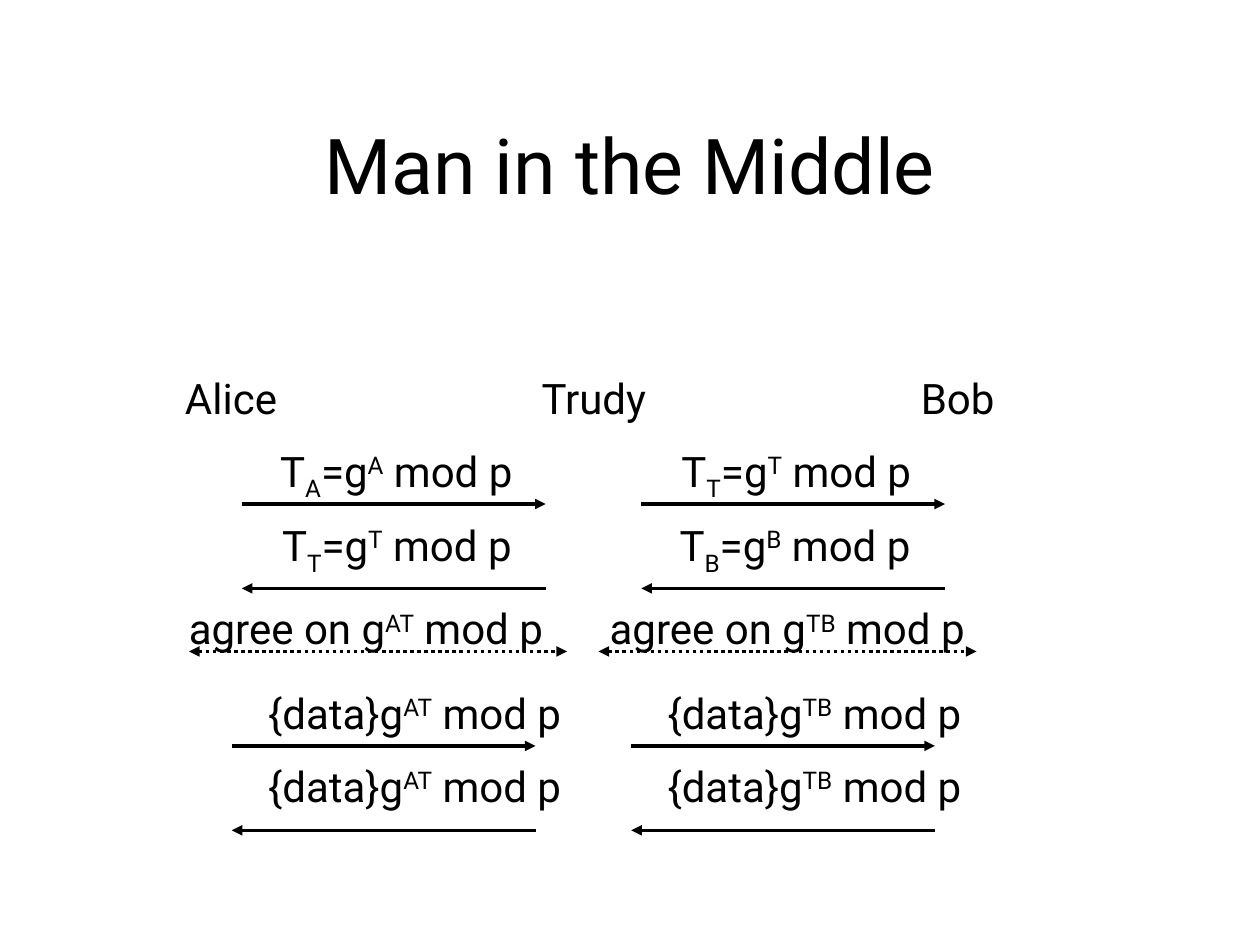
from dataclasses import dataclass

from lxml import etree
from pptx import Presentation
from pptx.dml.color import RGBColor
from pptx.enum import dml, shapes, text
from pptx.oxml.ns import qn
from pptx.util import Inches, Pt


@dataclass(frozen=True)
class Theme:
    """Colours, font and sizes of the slide."""
    ink: RGBColor = RGBColor(0, 0, 0)
    paper: RGBColor = RGBColor(255, 255, 255)
    font: str = "Roboto"
    title: int = 44
    body: int = 24
    line: int = 2
    sub: int = -25000
    sup: int = 30000


T = Theme()


def set_attrs(obj, **values):
    """Set each named attribute on an object."""
    for name, value in values.items():
        setattr(obj, name, value)


def add_text(s, box, runs, size=T.body, **frame):
    """Add a text box of (text, baseline) runs and return its paragraph."""
    tf = s.shapes.add_textbox(*map(Inches, box)).text_frame
    set_attrs(tf, **{"word_wrap": False,
                     "auto_size": text.MSO_AUTO_SIZE.SHAPE_TO_FIT_TEXT, **frame})
    p = tf.paragraphs[0]
    p.line_spacing = 1.01
    for words, baseline in runs:
        r = p.add_run()
        r.text = words
        set_attrs(r.font, name=T.font, size=Pt(size))
        r.font.color.rgb = T.ink
        if baseline:
            r._r.get_or_add_rPr().set("baseline", str(baseline))
    return p


def add_arrow(s, left, top, width, ends, dash=None):
    """Add a level line with triangles at the given ends."""
    sp = s.shapes.add_connector(shapes.MSO_CONNECTOR.STRAIGHT,
                                *map(Inches, (left, top, left + width, top)))
    set_attrs(sp.line, width=Pt(T.line), dash_style=dash)
    sp.line.color.rgb = T.ink
    ln = sp.line._get_or_add_ln()
    for end in ends:
        etree.SubElement(ln, qn(f"a:{end}End"), type="triangle")
    etree.SubElement(sp._element.spPr, qn("a:effectLst"))


def add_title(s, box, words):
    """Place the centred slide title in its box."""
    p = add_text(s, box, [(words, 0)], T.title, word_wrap=True,
                 auto_size=text.MSO_AUTO_SIZE.NONE,
                 vertical_anchor=text.MSO_ANCHOR.MIDDLE)
    p.alignment = text.PP_ALIGN.CENTER


def add_parties(s, top, parties):
    """Name the parties along one row."""
    for name, left, width in parties:
        add_text(s, (left, top, width, 0.51), [(name, 0)])


def add_session(s, left, top, parties, agree_text, agree_line):
    """Draw one key exchange, its agreement and the data sent each way."""
    width = 2.41
    secret = ("".join(parties), T.sup)
    mod = (" mod p", 0)
    for i, (party, end) in enumerate(zip(parties, ("tail", "head"))):
        text_width = 2.1 if party == "T" else 2.13
        add_text(s, (left + 1.35 - text_width / 2, top + 0.59 * i, text_width, 0.56),
                 [("T", 0), (party, T.sub), ("=g", 0), (party, T.sup), mod])
        add_arrow(s, left + 0.08, top + 0.52 + 0.67 * i, width, [end])
        add_text(s, (left + 0.19, top + 1.92 + 0.58 * i, 2.69, 0.51),
                 [("{data}g", 0), secret, mod])
        add_arrow(s, left, top + 2.44 + 0.67 * i, width, [end])
    add_text(s, (agree_text, top + 1.25, 3.22, 0.51),
             [("agree on g", 0), secret, mod])
    add_arrow(s, agree_line, top + 1.69, 3, ["head", "tail"],
              dml.MSO_LINE.ROUND_DOT)


def main():
    """Build and save the slide."""
    prs = Presentation()
    set_attrs(prs, slide_width=Inches(10), slide_height=Inches(7.5))
    s = prs.slides.add_slide(prs.slide_layouts[6])
    s.background.fill.solid()
    s.background.fill.fore_color.rgb = T.paper
    add_title(s, (0.75, 0.67, 8.5, 1.25), "Man in the Middle")
    add_parties(s, 2.9, [("Alice", 1.37, 0.94), ("Trudy", 4.2, 1.11),
                         ("Bob", 7.21, 0.83)])
    add_session(s, 1.84, 3.48, "AT", agree_text=1.4, agree_line=1.5)
    add_session(s, 5.01, 3.48, "TB", agree_text=4.74, agree_line=4.75)
    prs.save("out.pptx")


if __name__ == "__main__":
    main()
